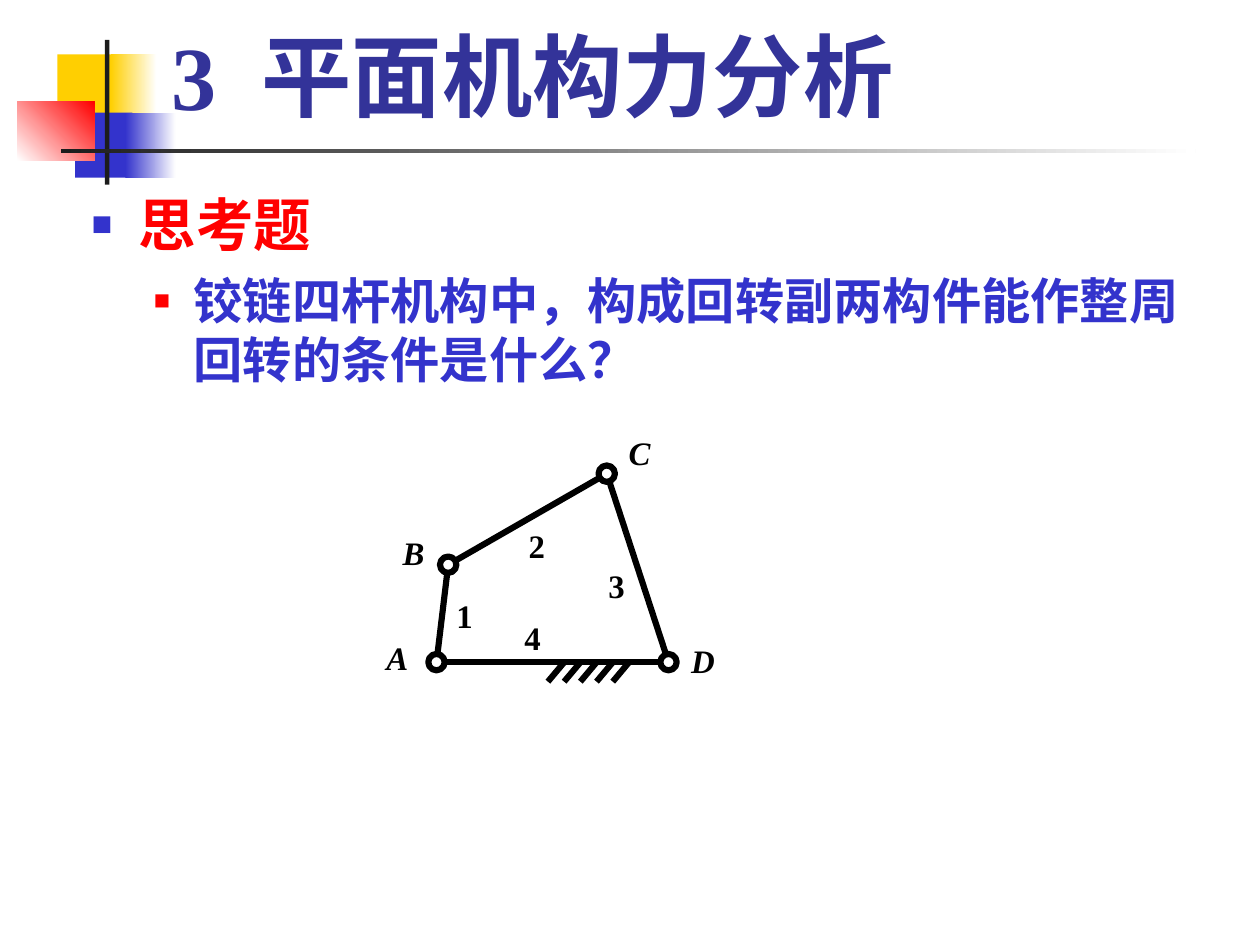
from dataclasses import dataclass
from math import hypot

from lxml.etree import SubElement
from pptx import Presentation
from pptx.dml.color import RGBColor
from pptx.enum.shapes import MSO_CONNECTOR, MSO_SHAPE
from pptx.enum.text import MSO_ANCHOR, MSO_AUTO_SIZE, PP_ALIGN
from pptx.oxml.ns import qn
from pptx.shapes.shapetree import GroupShapes, SlideShapes
from pptx.text.text import TextFrame, _Paragraph
from pptx.util import Pt


@dataclass(frozen=True)
class Theme:
    font: str = "Times New Roman"
    title: str = "333399"
    blue: str = "3333CC"
    red: str = "FF0000"
    yellow: str = "FFCF01"
    dark: str = "1C1C1C"
    white: str = "FFFFFF"
    black: str = "000000"
    title_size: float = 44
    heading_size: float = 28
    question_size: float = 24
    label_size: float = 16
    stroke: float = 3


@dataclass(frozen=True)
class Block:
    left: float
    top: float
    width: float
    height: float
    color: str
    end_color: str = ""
    angle: float = 0


@dataclass(frozen=True)
class Joint:
    x: float
    y: float
    label: str
    label_x: float
    label_y: float


@dataclass(frozen=True)
class Link:
    start: Joint
    end: Joint
    label: str
    label_x: float
    label_y: float


@dataclass(frozen=True)
class Bullet:
    text: str
    level: int
    size: float
    color: str
    marker_color: str
    marker_percent: int
    margin: float
    hanging: float
    space_before: float


THEME = Theme()
JOINT_RADIUS = 4

BLOCKS = [
    Block(28, 26.6, 29.5, 31.7, THEME.yellow),
    Block(54, 26.6, 22.3, 31.7, THEME.yellow, THEME.white),
    Block(36.6, 55, 28, 31.7, THEME.blue),
    Block(61.2, 55, 24.5, 31.7, THEME.blue, THEME.white),
    Block(8.4, 49.7, 37.8, 28.5, THEME.white, THEME.red, 45),
    Block(51.2, 19.5, 2.2, 70.5, THEME.dark),
    Block(29.8, 72.6, 553, 2.2, THEME.dark, THEME.white),
]

BULLETS = [
    Bullet("思考题", 0, THEME.heading_size, THEME.red, THEME.blue, 60, 23, 23, 0),
    Bullet("铰链四杆机构中，构成回转副两构件能作整周回转的条件是什么？", 1,
           THEME.question_size, THEME.blue, THEME.red, 55, 49.7, 19.4, 6),
]

A = Joint(212.8, 322.9, "A", 193.7, 320.8)
B = Joint(218.5, 275.4, "B", 201.6, 269.6)
C = Joint(295.8, 231, "C", 311.8, 220.7)
D = Joint(325.9, 322.9, "D", 342.7, 322.2)
LINKS = [
    Link(A, B, "1", 226.4, 299.9),
    Link(B, C, "2", 261.7, 266),
    Link(C, D, "3", 300.6, 285.5),
    Link(A, D, "4", 259.6, 310.7),
]


def add_run(paragraph: _Paragraph, text: str, size: float, color: str,
            italic: bool = False, spacing: float = 0) -> None:
    run = paragraph.add_run()
    run.text = text
    run.font.name = THEME.font
    run.font.size = Pt(size)
    run.font.bold = True
    run.font.italic = italic
    run.font.color.rgb = RGBColor.from_string(color)
    if spacing:
        run.font._element.set("spc", str(int(spacing * 100)))


def set_frame(frame: TextFrame, anchor: MSO_ANCHOR, side: float, edge: float,
              wrap: bool = True) -> None:
    frame.auto_size = MSO_AUTO_SIZE.NONE
    frame.word_wrap = wrap
    frame.vertical_anchor = anchor
    frame.margin_left = frame.margin_right = Pt(side)
    frame.margin_top = frame.margin_bottom = Pt(edge)


def add_block(shapes: SlideShapes, block: Block) -> None:
    shape = shapes.add_shape(MSO_SHAPE.RECTANGLE, Pt(block.left), Pt(block.top),
                             Pt(block.width), Pt(block.height))
    shape.shadow.inherit = False
    shape.line.fill.background()
    if block.end_color:
        shape.fill.gradient()
        shape.fill.gradient_angle = block.angle
        for stop, color in zip(shape.fill.gradient_stops, (block.color, block.end_color)):
            stop.color.rgb = RGBColor.from_string(color)
    else:
        shape.fill.solid()
        shape.fill.fore_color.rgb = RGBColor.from_string(block.color)


def add_bullet(paragraph: _Paragraph, bullet: Bullet) -> None:
    paragraph.level = bullet.level
    paragraph.alignment = PP_ALIGN.LEFT
    paragraph.space_before = Pt(bullet.space_before)
    properties = paragraph._p.get_or_add_pPr()
    properties.set("marL", str(Pt(bullet.margin)))
    properties.set("indent", str(-Pt(bullet.hanging)))
    marker_color = SubElement(properties, qn("a:buClr"))
    SubElement(marker_color, qn("a:srgbClr"), val=bullet.marker_color)
    SubElement(properties, qn("a:buSzPct"), val=str(bullet.marker_percent * 1000))
    SubElement(properties, qn("a:buFont"), typeface=THEME.font)
    SubElement(properties, qn("a:buChar"), char="■")
    add_run(paragraph, bullet.text, bullet.size, bullet.color)


def add_bar(shapes: GroupShapes, x1: float, y1: float, x2: float, y2: float) -> None:
    bar = shapes.add_connector(MSO_CONNECTOR.STRAIGHT, Pt(x1), Pt(y1), Pt(x2), Pt(y2))
    bar.line.color.rgb = RGBColor.from_string(THEME.black)
    bar.line.width = Pt(THEME.stroke)
    SubElement(bar._element.spPr, qn("a:effectLst"))


def add_label(shapes: GroupShapes, text: str, x: float, y: float,
              italic: bool = False) -> None:
    width, height = 24, 28
    box = shapes.add_textbox(Pt(x - width / 2), Pt(y - height / 2), Pt(width), Pt(height))
    set_frame(box.text_frame, MSO_ANCHOR.MIDDLE, 3, 1.5, wrap=False)
    paragraph = box.text_frame.paragraphs[0]
    paragraph.alignment = PP_ALIGN.CENTER
    add_run(paragraph, text, THEME.label_size, THEME.black, italic)


def add_joint(shapes: GroupShapes, joint: Joint) -> None:
    ring = shapes.add_shape(MSO_SHAPE.OVAL, Pt(joint.x - JOINT_RADIUS),
                            Pt(joint.y - JOINT_RADIUS),
                            Pt(2 * JOINT_RADIUS), Pt(2 * JOINT_RADIUS))
    ring.shadow.inherit = False
    ring.fill.background()
    ring.line.color.rgb = RGBColor.from_string(THEME.black)
    ring.line.width = Pt(THEME.stroke)
    add_label(shapes, joint.label, joint.label_x, joint.label_y, italic=True)


def add_link(shapes: GroupShapes, link: Link) -> None:
    """Draw a bar between the rims of its two joints, with its number."""
    start, end = link.start, link.end
    trim = JOINT_RADIUS / hypot(end.x - start.x, end.y - start.y)
    dx, dy = trim * (end.x - start.x), trim * (end.y - start.y)
    add_bar(shapes, start.x + dx, start.y + dy, end.x - dx, end.y - dy)
    add_label(shapes, link.label, link.label_x, link.label_y)


def main() -> None:
    presentation = Presentation()
    presentation.slide_width, presentation.slide_height = Pt(614.2), Pt(460.8)
    slide = presentation.slides.add_slide(presentation.slide_layouts[1])
    shapes = slide.shapes
    title, body = shapes.title, slide.placeholders[1]

    for block in BLOCKS:
        add_block(shapes, block)
    for placeholder in (title, body):
        shapes._spTree.append(placeholder._element)

    title.left, title.top, title.width, title.height = Pt(77), Pt(6.5), Pt(523.4), Pt(59)
    set_frame(title.text_frame, MSO_ANCHOR.BOTTOM, 6.5, 3)
    heading = title.text_frame.paragraphs[0]
    heading.alignment = PP_ALIGN.LEFT
    add_run(heading, "3", THEME.title_size, THEME.title)
    add_run(heading, " ", THEME.title_size, THEME.title, spacing=11)
    add_run(heading, "平面机构力分析", THEME.title_size, THEME.title)

    body.left, body.top, body.width, body.height = Pt(38.2), Pt(89.3), Pt(544), Pt(344)
    set_frame(body.text_frame, MSO_ANCHOR.TOP, 6.5, 3)
    for index, bullet in enumerate(BULLETS):
        frame = body.text_frame
        add_bullet(frame.add_paragraph() if index else frame.paragraphs[0], bullet)

    linkage = shapes.add_group_shape().shapes
    for joint in (A, B, C, D):
        add_joint(linkage, joint)
    for link in LINKS:
        add_link(linkage, link)
    for hatch in range(5):
        x = 275 + 7.9 * hatch
        add_bar(linkage, x, 323, x - 7.9, 332.4)

    presentation.save("out.pptx")


if __name__ == "__main__":
    main()
